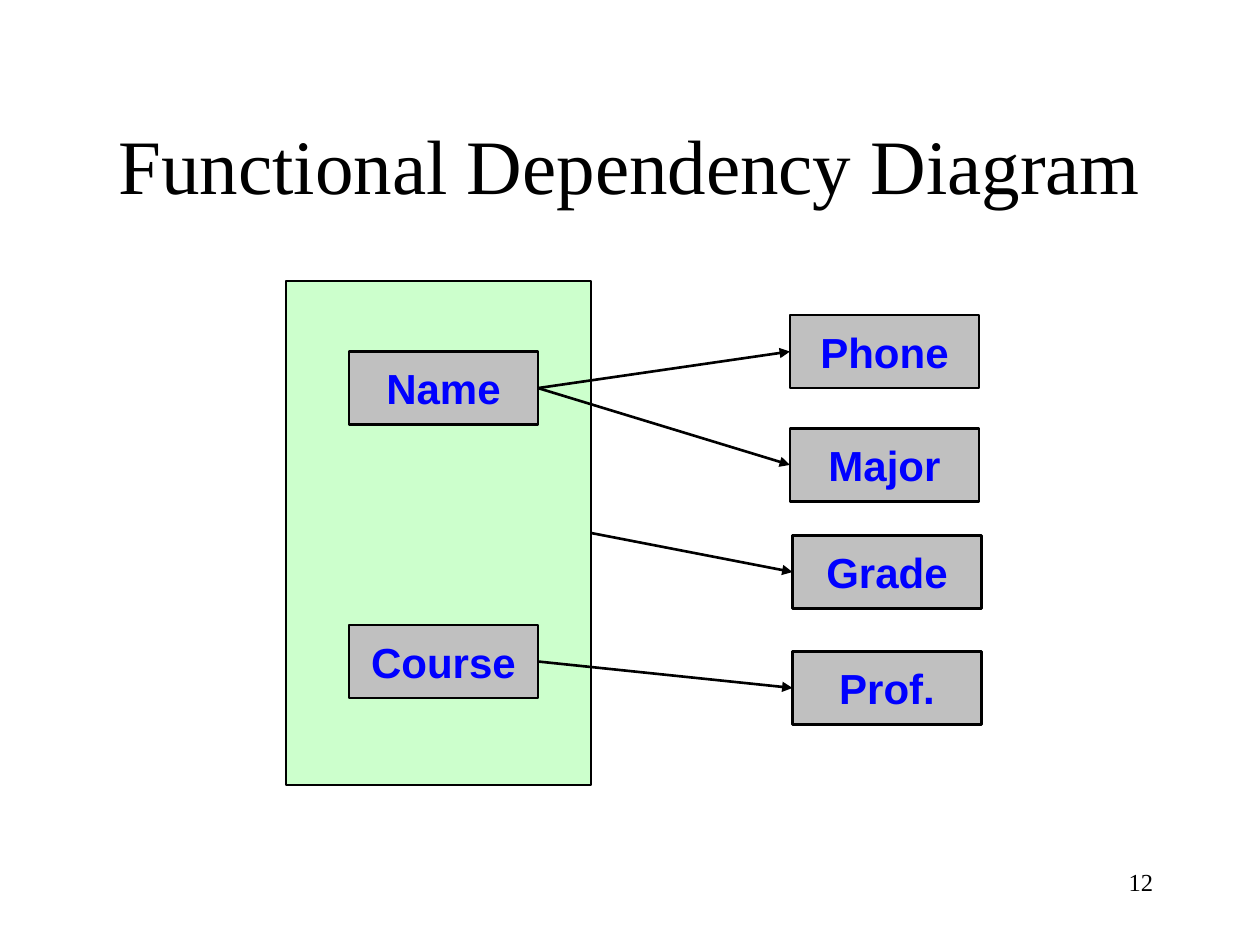
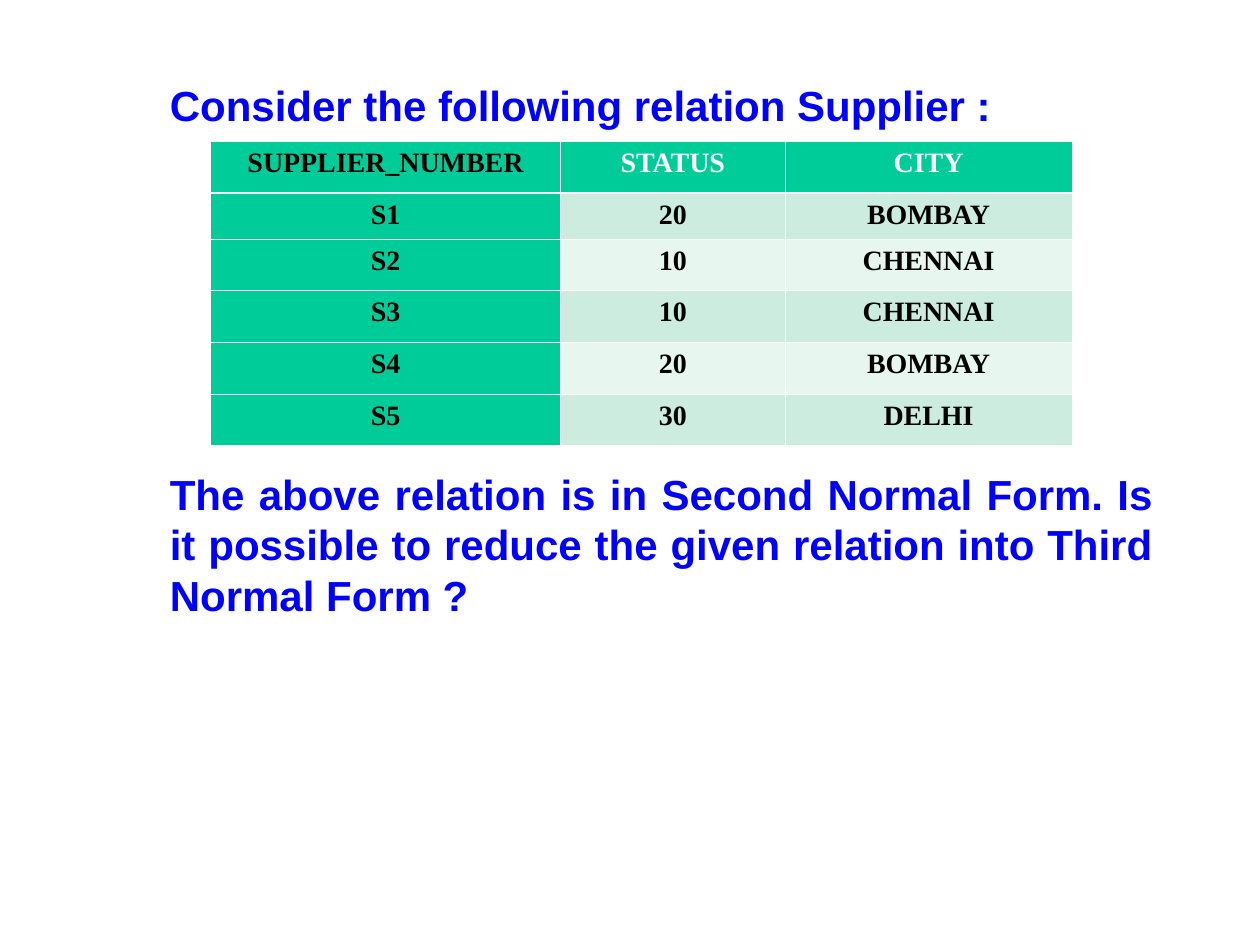
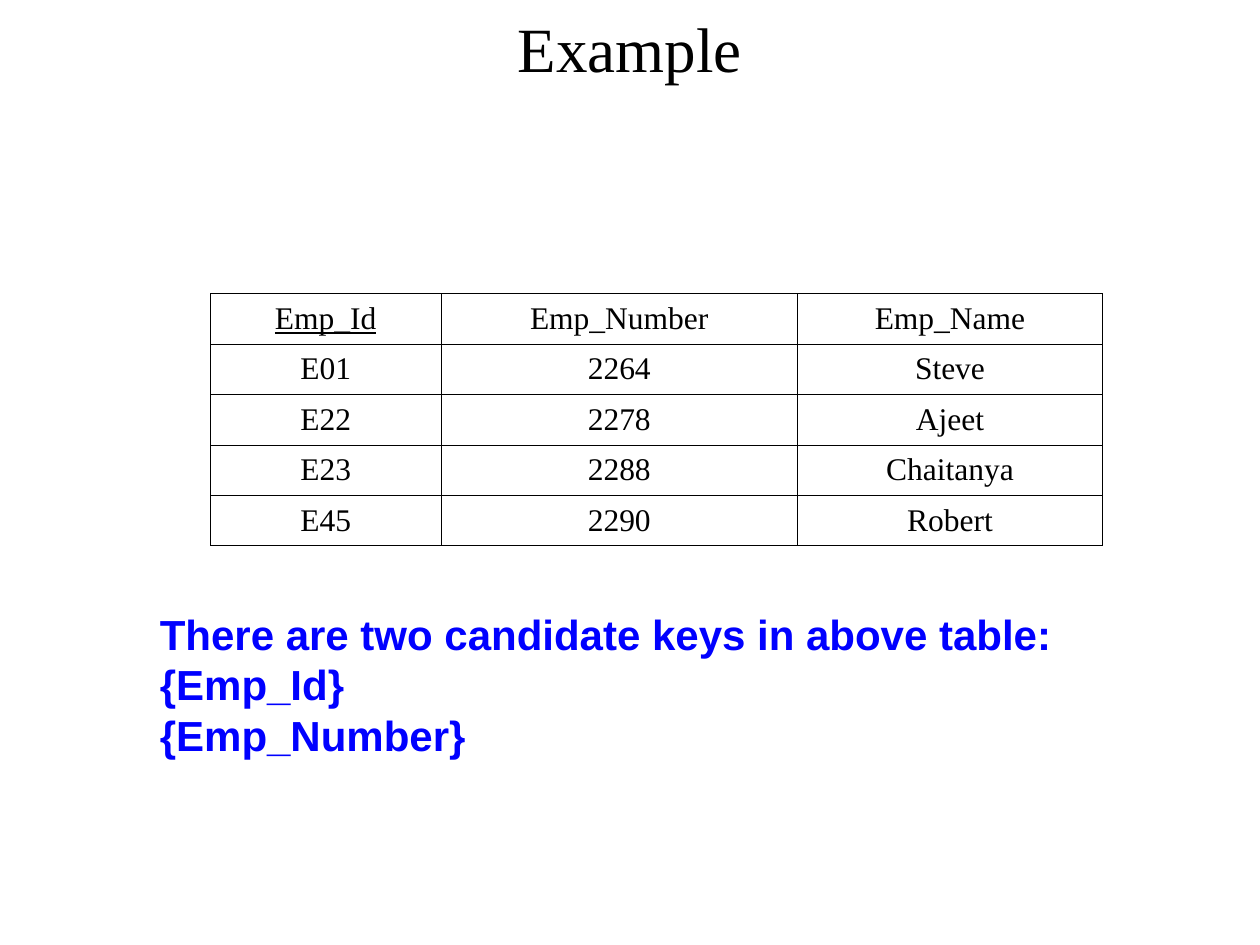
from lxml.etree import SubElement
from pptx import Presentation
from pptx.dml.color import RGBColor
from pptx.enum.shapes import MSO_CONNECTOR, MSO_SHAPE
from pptx.enum.text import MSO_ANCHOR, PP_ALIGN
from pptx.oxml.ns import qn
from pptx.util import Inches, Pt

BLACK, WHITE, BLUE = "000000", "FFFFFF", "0000FF"
MINT, GREY = "CCFFCC", "C0C0C0"
GREEN, BAND_DARK, BAND_LIGHT = "00CC99", "CBECDE", "E7F6EF"

TITLE = {"name": "Times New Roman", "size": Pt(44), "color": BLACK}
SMALL_TITLE = {**TITLE, "size": Pt(36)}
PAGE_NUMBER = {**TITLE, "size": Pt(14)}
EMPLOYEE_CELL = {**TITLE, "size": Pt(18)}
SUPPLIER_CELL = {**TITLE, "size": Pt(16), "bold": True}
STATEMENT = {"name": "Arial", "size": Pt(24), "bold": True, "color": BLUE}

LINE_WIDTH = Pt(1.5)
LEFT_SITE, RIGHT_SITE = 1, 3


def rgb(value):
    return RGBColor.from_string(value)


def write(frame, text, style, align=PP_ALIGN.LEFT, anchor=MSO_ANCHOR.TOP, wrap=True):
    """Fill a text frame with one paragraph; each line of text ends in a line break."""
    frame.word_wrap = wrap
    frame.vertical_anchor = anchor
    para = frame.paragraphs[0]
    para.alignment = align
    for index, line in enumerate(text.splitlines()):
        if index:
            para.add_line_break()
        span = para.add_run()
        span.text = line
        format_font(span.font, style)


def format_font(font, style):
    for key, value in style.items():
        if key == "color":
            font.color.rgb = rgb(value)
        else:
            setattr(font, key, value)


def add_text(page, box, text, style, **layout):
    shape = page.shapes.add_textbox(*map(Inches, box))
    write(shape.text_frame, text, style, **layout)


def add_title(page, top, text, style=TITLE):
    add_text(page, (0.75, top, 8.5, 1.25), text, style,
             align=PP_ALIGN.CENTER, anchor=MSO_ANCHOR.MIDDLE)


def add_rectangle(page, box, fill):
    shape = page.shapes.add_shape(MSO_SHAPE.RECTANGLE, *map(Inches, box))
    shape.shadow.inherit = False
    shape.fill.solid()
    shape.fill.fore_color.rgb = rgb(fill)
    shape.line.color.rgb = rgb(BLACK)
    shape.line.width = LINE_WIDTH
    return shape


def add_attribute(page, left, top, name):
    shape = add_rectangle(page, (left, top, 1.5, 0.58), GREY)
    write(shape.text_frame, name, STATEMENT, align=PP_ALIGN.CENTER,
          anchor=MSO_ANCHOR.MIDDLE, wrap=False)
    return shape


def add_arrow(page, source, target):
    arrow = page.shapes.add_connector(MSO_CONNECTOR.STRAIGHT, 0, 0, 0, 0)
    arrow.begin_connect(source, RIGHT_SITE)
    arrow.end_connect(target, LEFT_SITE)
    arrow.line.color.rgb = rgb(BLACK)
    arrow.line.width = LINE_WIDTH
    SubElement(arrow.line._get_or_add_ln(), qn("a:tailEnd"), type="triangle")
    SubElement(arrow._element.spPr, qn("a:effectLst"))


def add_dependencies(page, left, top):
    """Draw the composite key, its attributes and the arrows to what they determine."""
    key = add_rectangle(page, (left, top, 2.42, 4), MINT)
    places = {
        "Name": (0.5, 0.56), "Course": (0.5, 2.73),
        "Phone": (4, 0.27), "Major": (4, 1.17),
        "Grade": (4.02, 2.02), "Prof.": (4.02, 2.94),
    }
    nodes = {name: add_attribute(page, left + x, top + y, name)
             for name, (x, y) in places.items()}
    add_arrow(page, nodes["Name"], nodes["Phone"])
    add_arrow(page, nodes["Name"], nodes["Major"])
    add_arrow(page, nodes["Course"], nodes["Prof."])
    add_arrow(page, key, nodes["Grade"])


def set_borders(cell, color, **widths):
    """Give the four sides of a cell a line, 0.45 points wide unless named in widths."""
    properties = cell._tc.get_or_add_tcPr()
    for index, side in enumerate(("lnL", "lnR", "lnT", "lnB")):
        width = Pt(widths.get(side, 0.45))
        line = properties.makeelement(qn(f"a:{side}"), {"w": str(int(width))})
        SubElement(SubElement(line, qn("a:solidFill")), qn("a:srgbClr"), val=color)
        properties.insert(index, line)


def add_grid(page, left, top, widths, heights, rows):
    """Add a plain table and yield row number, column number, cell and text."""
    box = (left, top, sum(widths), sum(heights))
    table = page.shapes.add_table(len(rows), len(widths), *map(Inches, box)).table
    table.first_row = table.horz_banding = False
    for column, width in zip(table.columns, widths):
        column.width = Inches(width)
    for row, height in zip(table.rows, heights):
        row.height = Inches(height)
    for r, values in enumerate(rows):
        for c, text in enumerate(values):
            yield r, c, table.cell(r, c), text


def add_supplier_table(page, left, top):
    rows = [
        ("SUPPLIER_NUMBER", "STATUS", "CITY"),
        ("S1", "20", "BOMBAY"),
        ("S2", "10", "CHENNAI"),
        ("S3", "10", "CHENNAI"),
        ("S4", "20", "BOMBAY"),
        ("S5", "30", "DELHI"),
    ]
    widths, heights = (2.78, 1.78, 2.28), (0.41, 0.36, 0.41, 0.41, 0.41, 0.41)
    heavy_sides = {0: {"lnB": 1.47}, 1: {"lnT": 1.47}}
    for r, c, cell, text in add_grid(page, left, top, widths, heights, rows):
        color = WHITE if r == 0 and c > 0 else BLACK
        write(cell.text_frame, text, {**SUPPLIER_CELL, "color": color},
              align=PP_ALIGN.CENTER)
        cell.margin_left = cell.margin_right = Inches(0.08)
        cell.fill.solid()
        band = BAND_DARK if r % 2 else BAND_LIGHT
        cell.fill.fore_color.rgb = rgb(GREEN if r == 0 or c == 0 else band)
        set_borders(cell, WHITE, **heavy_sides.get(r, {}))


def add_employee_table(page, left, top):
    rows = [
        ("Emp_Id", "Emp_Number", "Emp_Name"),
        ("E01", "2264", "Steve"),
        ("E22", "2278", "Ajeet"),
        ("E23", "2288", "Chaitanya"),
        ("E45", "2290", "Robert"),
    ]
    widths, heights = (1.83, 2.83, 2.42), [0.4] * len(rows)
    for r, c, cell, text in add_grid(page, left, top, widths, heights, rows):
        is_primary_key = r == 0 and c == 0
        write(cell.text_frame, text, {**EMPLOYEE_CELL, "underline": is_primary_key},
              align=PP_ALIGN.CENTER)
        cell.vertical_anchor = MSO_ANCHOR.MIDDLE
        cell.margin_left = cell.margin_right = Inches(0.1)
        cell.fill.background()
        set_borders(cell, BLACK)


def build_diagram_slide(page):
    add_text(page, (7.17, 6.83, 2.08, 0.5), "12", PAGE_NUMBER, align=PP_ALIGN.RIGHT)
    add_title(page, 0.67, "Functional Dependency Diagram")
    add_dependencies(page, 2.27, 2.23)


def build_supplier_slide(page):
    add_text(page, (1.25, 0.58, 7.58, 0.5),
             "Consider the following relation Supplier :", STATEMENT)
    add_supplier_table(page, 1.67, 1.12)
    add_text(page, (1.25, 3.67, 8, 1.3),
             "The above relation is in Second Normal Form. Is it possible to "
             "reduce the given relation into Third Normal Form ?",
             STATEMENT, align=PP_ALIGN.JUSTIFY)


def build_example_slide(page):
    add_title(page, -0.25, "Example", SMALL_TITLE)
    add_employee_table(page, 1.67, 2.33)
    add_text(page, (1.17, 4.78, 8.08, 1.3),
             "There are two candidate keys in above table:\n{Emp_Id}\n{Emp_Number}",
             STATEMENT)


def main():
    deck = Presentation()
    deck.slide_width, deck.slide_height = Inches(10), Inches(7.5)
    blank = deck.slide_layouts[6]
    for build in (build_diagram_slide, build_supplier_slide, build_example_slide):
        build(deck.slides.add_slide(blank))
    deck.save("out.pptx")


if __name__ == "__main__":
    main()
